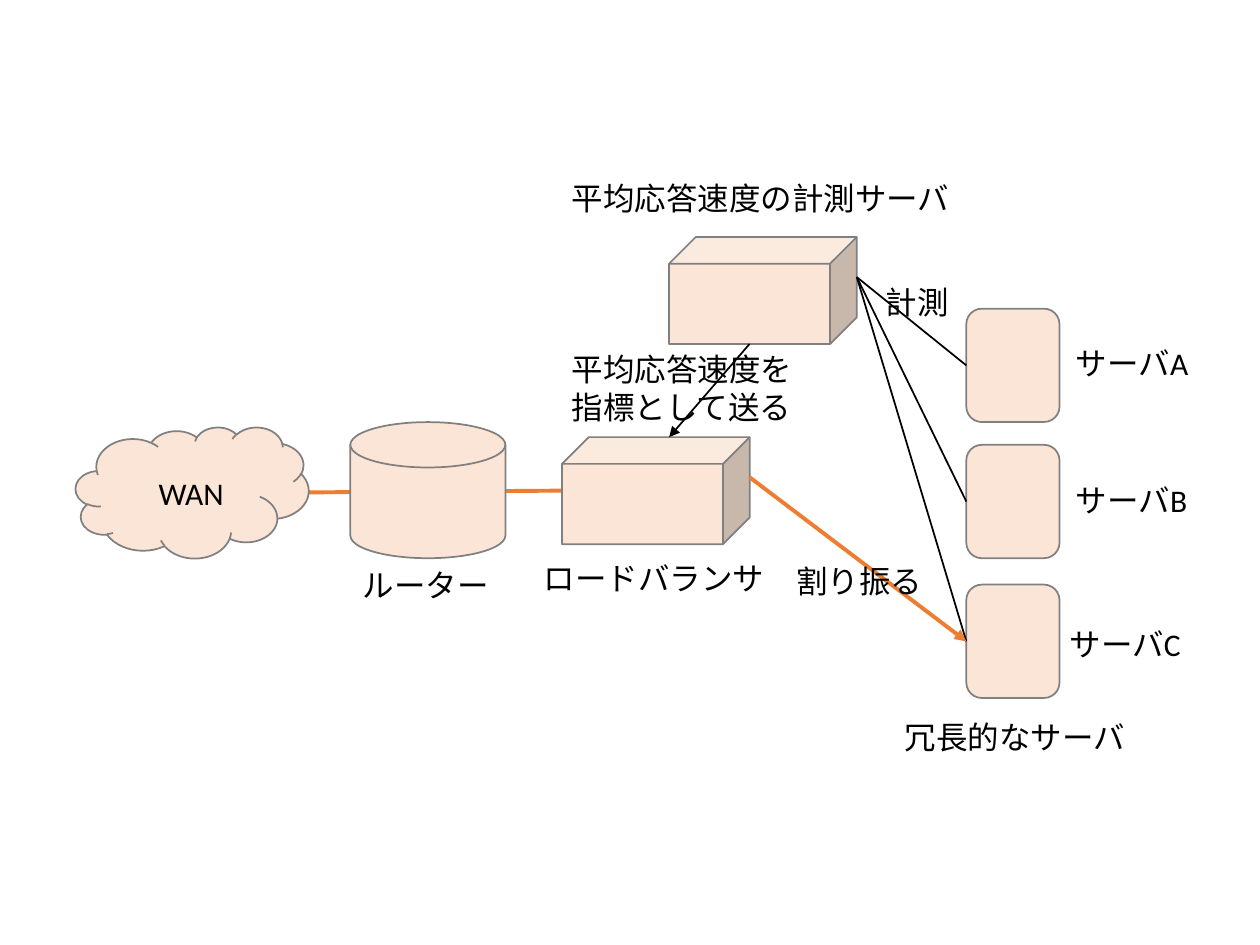
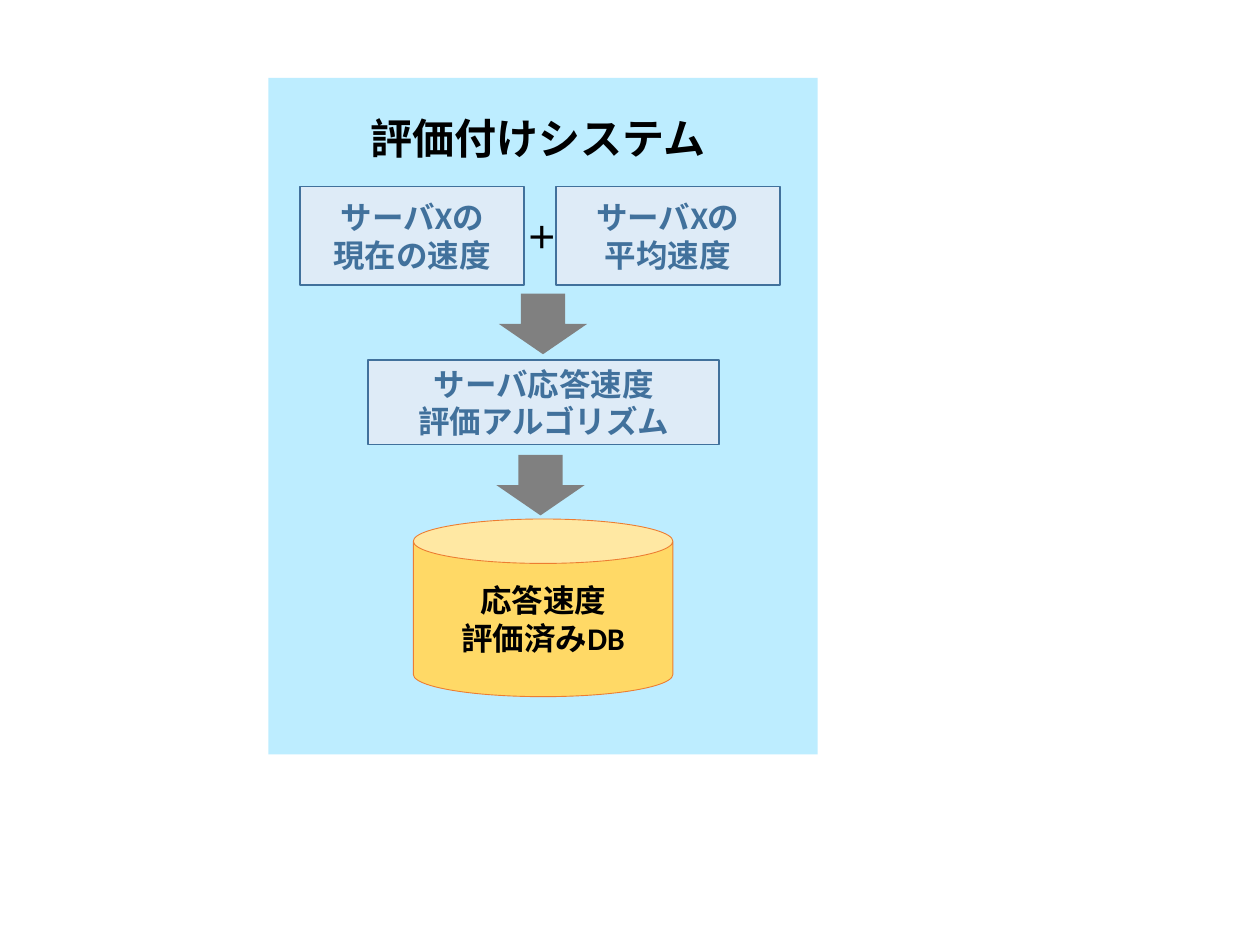
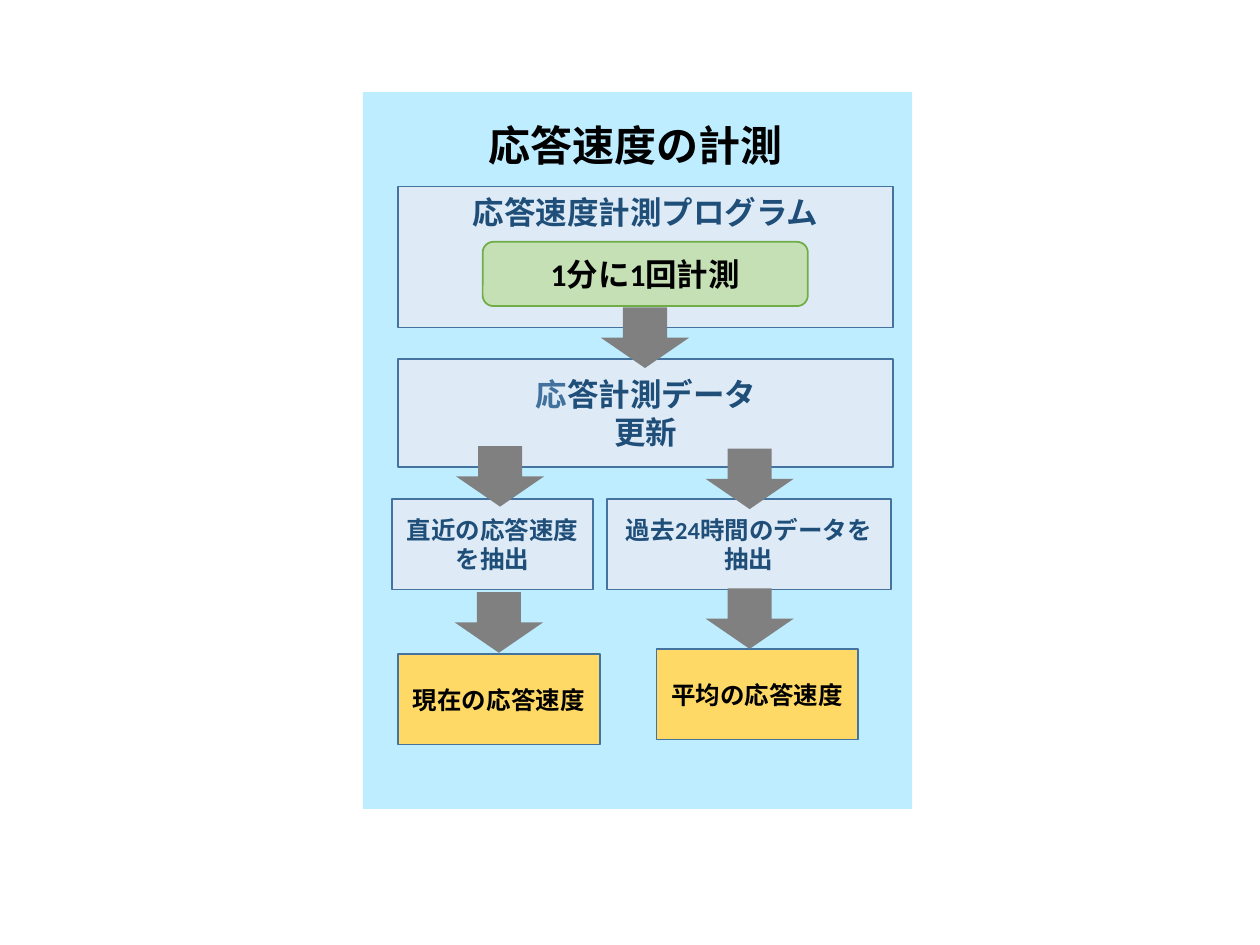
from pptx import Presentation
from pptx.dml.color import RGBColor
from pptx.enum.shapes import MSO_CONNECTOR, MSO_SHAPE as SHAPE
from pptx.enum.text import MSO_ANCHOR as ANCHOR, MSO_AUTO_SIZE, PP_ALIGN
from pptx.oxml.ns import qn
from pptx.util import Pt
from lxml.etree import SubElement

BLACK = RGBColor(0x00, 0x00, 0x00)
GRAY = RGBColor(0x80, 0x80, 0x80)
PEACH = RGBColor(0xFB, 0xE5, 0xD6)
ORANGE = RGBColor(0xED, 0x7D, 0x31)
SKY = RGBColor(0xBD, 0xED, 0xFF)
PALE_BLUE = RGBColor(0xDE, 0xEB, 0xF7)
STEEL = RGBColor(0x41, 0x71, 0x9C)
EDGE_BLUE = RGBColor(0x43, 0x73, 0x9E)
NAVY = RGBColor(0x1F, 0x4E, 0x79)
GOLD = RGBColor(0xFF, 0xD9, 0x66)
PALE_GREEN = RGBColor(0xC5, 0xE0, 0xB4)
GREEN = RGBColor(0x70, 0xAD, 0x47)
FONT = "Calibri"

# Network slide: lengths in points
CLOUD = (43.2, 244.1, 133.2, 74.9)
ROUTER = (200.2, 241.2, 88.6, 77.8)
METER = (382.3, 135.4, 107.3, 61.2)
BALANCER = (321.1, 249.8, 107.3, 61.2)
SERVERS = [(552.2, y, 53.3, 64.8) for y in (176.4, 254.2, 334.1)]
WAN_LINK = ((160.6, 281.5), (359.3, 280.1))
LABELS = [  # text, left, top, width
    ("ロードバランサ", 303.8, 316.1, 141.8),
    ("ルーター", 200.2, 319.7, 87.1),
    ("WAN", 83.5, 267.1, 51.8),
    ("平均応答速度の計測サーバ", 319.7, 98.6, 232.6),
    ("冗長的なサーバ", 509.8, 406.8, 141.8),
    ("計測", 499, 158.4, 51.1),
    ("平均応答速度を\n指標として送る", 319.7, 196.6, 141.8),
    ("割り振る", 447.8, 317.5, 87.1),
]
SERVER_LABELS = [
    ("サーバA", 607.7, 193, 79.2),
    ("サーバB", 607.7, 271.4, 79.2),
    ("サーバC", 604.1, 353.5, 78.5),
]

# Flow slides: panel, title, boxes (text, place, format) and arrow corners
BLUE_BOX = dict(fill=PALE_BLUE, line=STEEL, color=STEEL)
STEP = dict(fill=PALE_BLUE, line=EDGE_BLUE, color=NAVY)
EXTRACT = dict(STEP, size=14)
RESULT = dict(fill=GOLD, line=EDGE_BLUE, size=14)
ARROW_SIZE = (50.4, 34.6)
RATING = dict(
    panel=(153.4, 44.6, 313.9, 386.6),
    title=("評価付けシステム", 204.5, 60.5, 208.1),
    boxes=[
        ("応答速度\n評価済みDB", (236.2, 296.6, 148.3, 101.5),
         dict(kind=SHAPE.CAN, fill=GOLD, line=ORANGE, weight=0.5)),
        ("サーバXの\n現在の速度", (171.4, 106.6, 128.2, 56.2), BLUE_BOX),
        ("サーバXの\n平均速度", (317.5, 106.6, 128.2, 56.2), BLUE_BOX),
        ("サーバ応答速度\n評価アルゴリズム", (210.2, 205.9, 200.9, 48.2), BLUE_BOX),
    ],
    arrows=[(285.1, 167.8), (283.7, 259.9)],
)
MEASURING = dict(
    panel=(207.4, 52.6, 313.9, 409.7),
    title=("応答速度の計測", 272.2, 64.8, 184.3),
    boxes=[
        ("応答速度計測プログラム", (227.5, 106.6, 283, 80.6), dict(STEP, anchor=ANCHOR.TOP)),
        ("過去24時間のデータを抽出", (347, 285.1, 162, 51.8), EXTRACT),
        ("1分に1回計測", (275.8, 138.2, 185.8, 36.7),
         dict(kind=SHAPE.ROUNDED_RECTANGLE, fill=PALE_GREEN, line=GREEN)),
        ("直近の応答速度を抽出", (223.9, 285.1, 115.2, 51.8), EXTRACT),
        ("平均の応答速度", (375.1, 370.8, 115.2, 51.8), RESULT),
        ("現在の応答速度", (227.5, 373.7, 115.2, 51.8), RESULT),
        ([("応", STEEL), ("答計測データ\n更新", NAVY)], (227.5, 205.2, 283, 61.9), STEP),
    ],
    arrows=[(343.4, 175.7), (260.6, 254.9), (403.2, 256.3), (403.2, 336.2), (259.9, 338.4)],
)


def write(tf, text, size=18, color=BLACK, bold=False, align=PP_ALIGN.LEFT):
    """Fill a frame with text, or with a list of (text, colour) runs."""
    p = tf.paragraphs[0]
    p.alignment = align
    for part, part_color in [(text, color)] if isinstance(text, str) else text:
        for i, row in enumerate(part.split("\n")):
            if i:
                p.add_line_break()
            r = p.add_run()
            r.text = row
            r.font.name, r.font.size, r.font.bold = FONT, Pt(size), bold
            r.font.color.rgb = part_color


def add_label(s, text, left, top, width, wrap=False, **fmt):
    lines = text.count("\n") + 1
    height = lines * fmt.get("size", 18) * 1.2 + 7.2
    tf = s.shapes.add_textbox(Pt(left), Pt(top), Pt(width), Pt(height)).text_frame
    tf.word_wrap = wrap
    tf.auto_size = MSO_AUTO_SIZE.SHAPE_TO_FIT_TEXT
    write(tf, text, **fmt)


def add_box(s, place, fill, kind=SHAPE.RECTANGLE, line=None, weight=1,
            text=None, anchor=ANCHOR.MIDDLE, **fmt):
    sp = s.shapes.add_shape(kind, *map(Pt, place))
    sp.shadow.inherit = False
    sp.fill.solid()
    sp.fill.fore_color.rgb = fill
    if line is None:
        sp.line.fill.background()
    else:
        sp.line.color.rgb = line
        sp.line.width = Pt(weight)
    if text:
        sp.text_frame.word_wrap = True
        sp.text_frame.vertical_anchor = anchor
        write(sp.text_frame, text, bold=True, align=PP_ALIGN.CENTER, **fmt)
    return sp


def add_link(s, start, end, color=BLACK, weight=1, arrow=False, target=None):
    """Draw a line; a target is joined at the middle of its left side."""
    cx = s.shapes.add_connector(MSO_CONNECTOR.STRAIGHT, *map(Pt, (*start, *end)))
    if target is not None:
        cx.end_connect(target, 1)
    cx.line.color.rgb = color
    cx.line.width = Pt(weight)
    if arrow:
        SubElement(cx.line._get_or_add_ln(), qn("a:tailEnd"), type="triangle")
    SubElement(cx._element.spPr, qn("a:effectLst"))


def cube_points(place):
    """Top, right and bottom joining points of a cube."""
    left, top, width, height = place
    depth = height / 4
    front = (width - depth) / 2
    return ((left + depth + front, top),
            (left + width, top + (height - depth) / 2),
            (left + front, top + height))


def build_network(s):
    peach = dict(fill=PEACH, line=GRAY)
    add_link(s, *WAN_LINK, color=ORANGE, weight=2.25)
    add_box(s, CLOUD, kind=SHAPE.CLOUD, **peach)
    add_box(s, ROUTER, kind=SHAPE.FLOWCHART_MAGNETIC_DISK, **peach)
    for place in (METER, BALANCER):
        add_box(s, place, kind=SHAPE.CUBE, **peach)
    servers = [add_box(s, place, kind=SHAPE.FLOWCHART_ALTERNATE_PROCESS, **peach)
               for place in SERVERS]

    _, meter_right, meter_bottom = cube_points(METER)
    balancer_top, balancer_right, _ = cube_points(BALANCER)
    for server in servers:
        add_link(s, meter_right, meter_right, target=server)
    add_link(s, meter_bottom, balancer_top, arrow=True)
    add_link(s, balancer_right, balancer_right, color=ORANGE, weight=2.25,
             arrow=True, target=servers[-1])

    for label in LABELS:
        add_label(s, *label)
    for label in SERVER_LABELS:
        add_label(s, *label, wrap=True)


def build_flow(s, panel, title, boxes, arrows):
    add_box(s, panel, SKY)
    add_label(s, *title, size=24, bold=True)
    for text, place, fmt in boxes:
        add_box(s, place, text=text, **fmt)
    for corner in arrows:
        add_box(s, (*corner, *ARROW_SIZE), GRAY, kind=SHAPE.DOWN_ARROW)


def main():
    prs = Presentation()
    prs.slide_width, prs.slide_height = Pt(720), Pt(540)
    network, rating, measuring = (prs.slides.add_slide(prs.slide_layouts[6]) for _ in range(3))
    build_network(network)
    build_flow(rating, **RATING)
    add_label(rating, "＋", 293.8, 121, 32.4, bold=True)
    build_flow(measuring, **MEASURING)
    prs.save("out.pptx")


if __name__ == "__main__":
    main()
